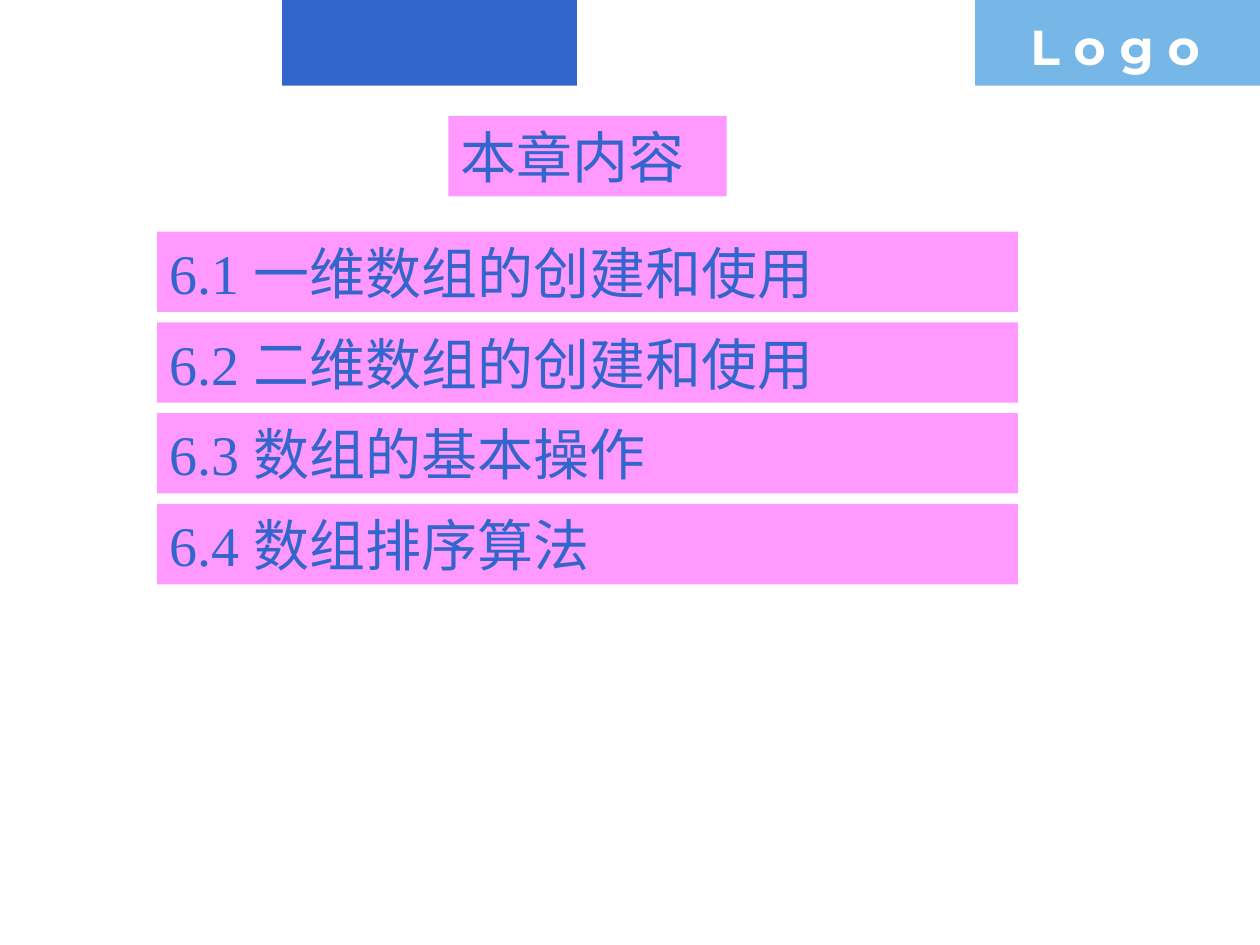
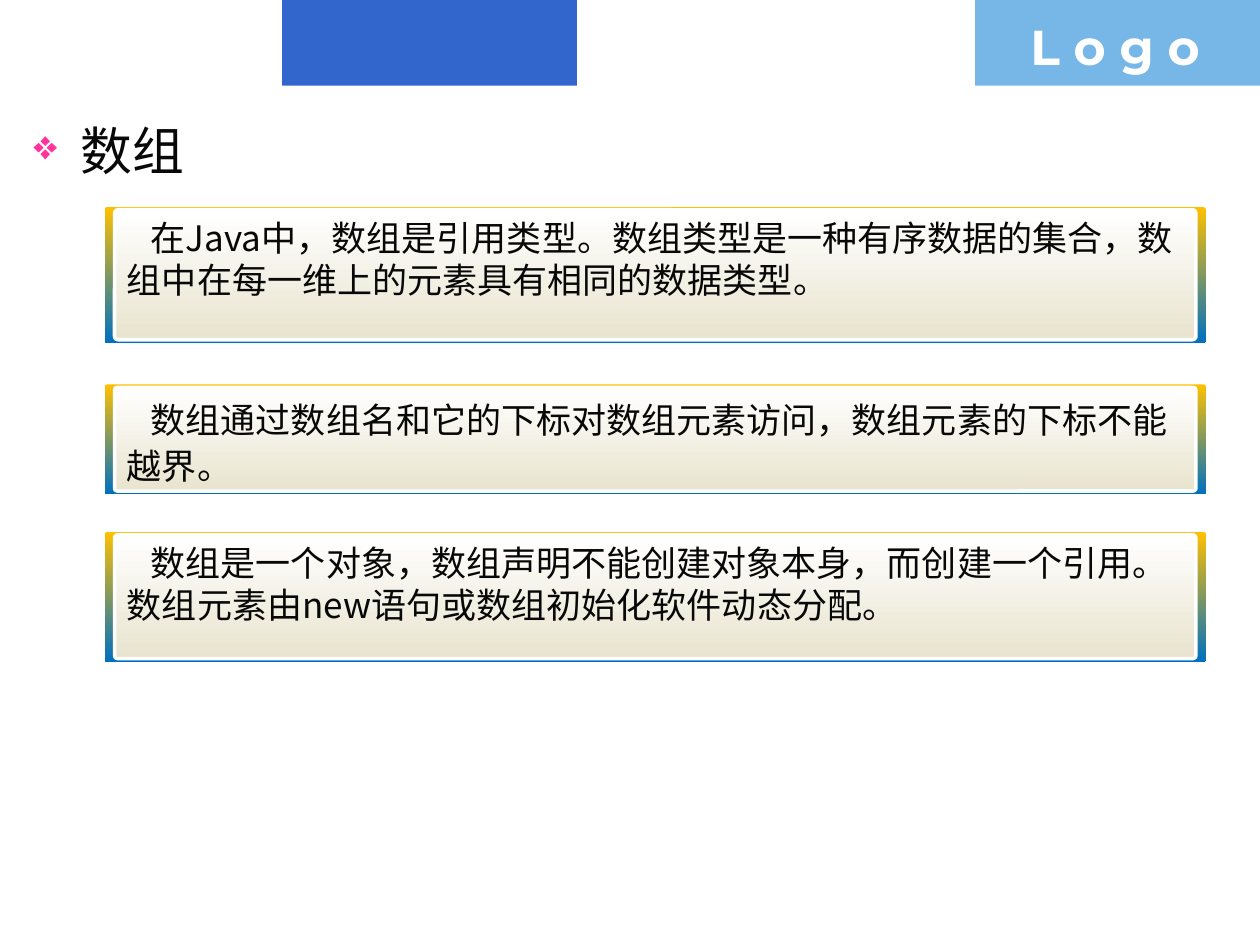
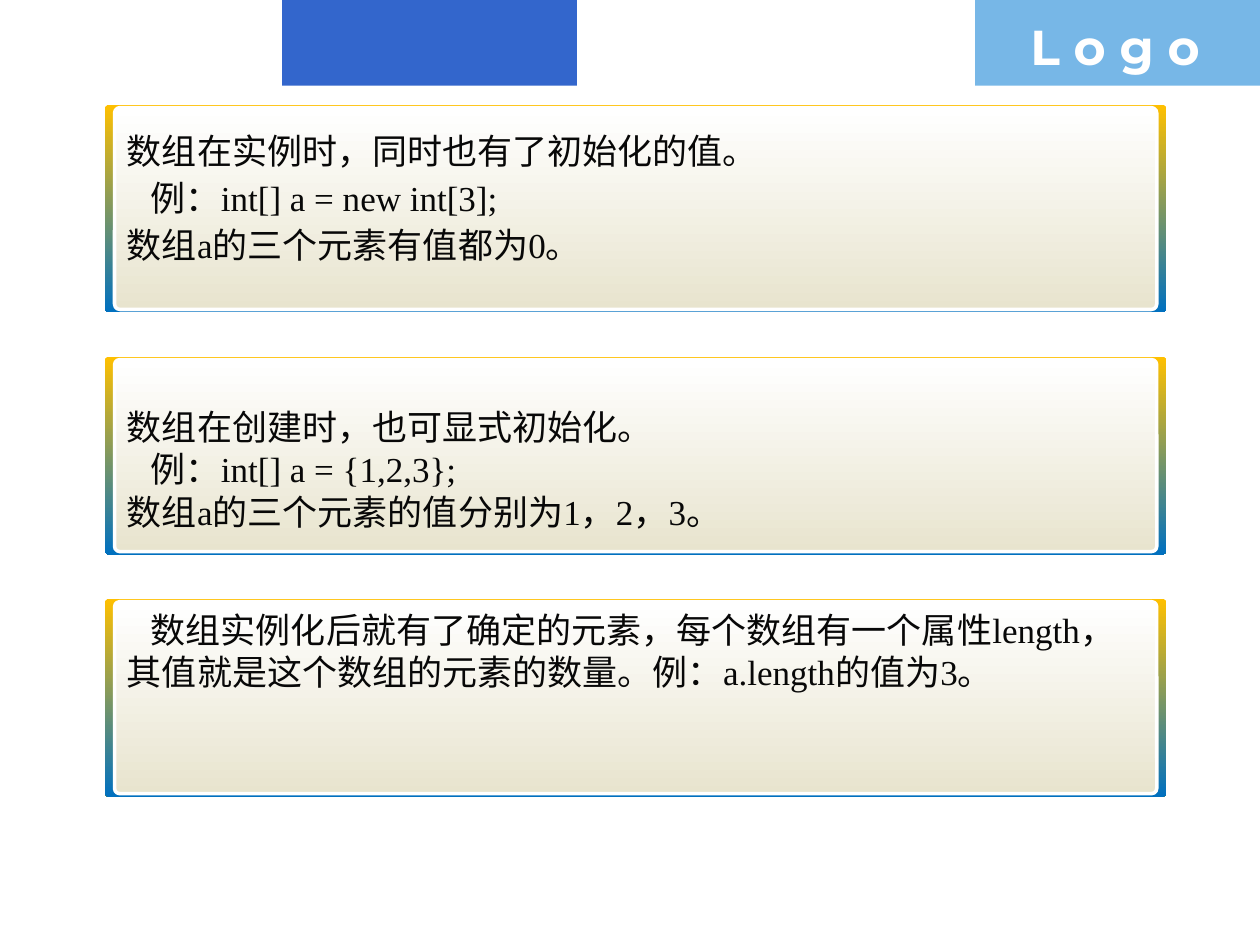
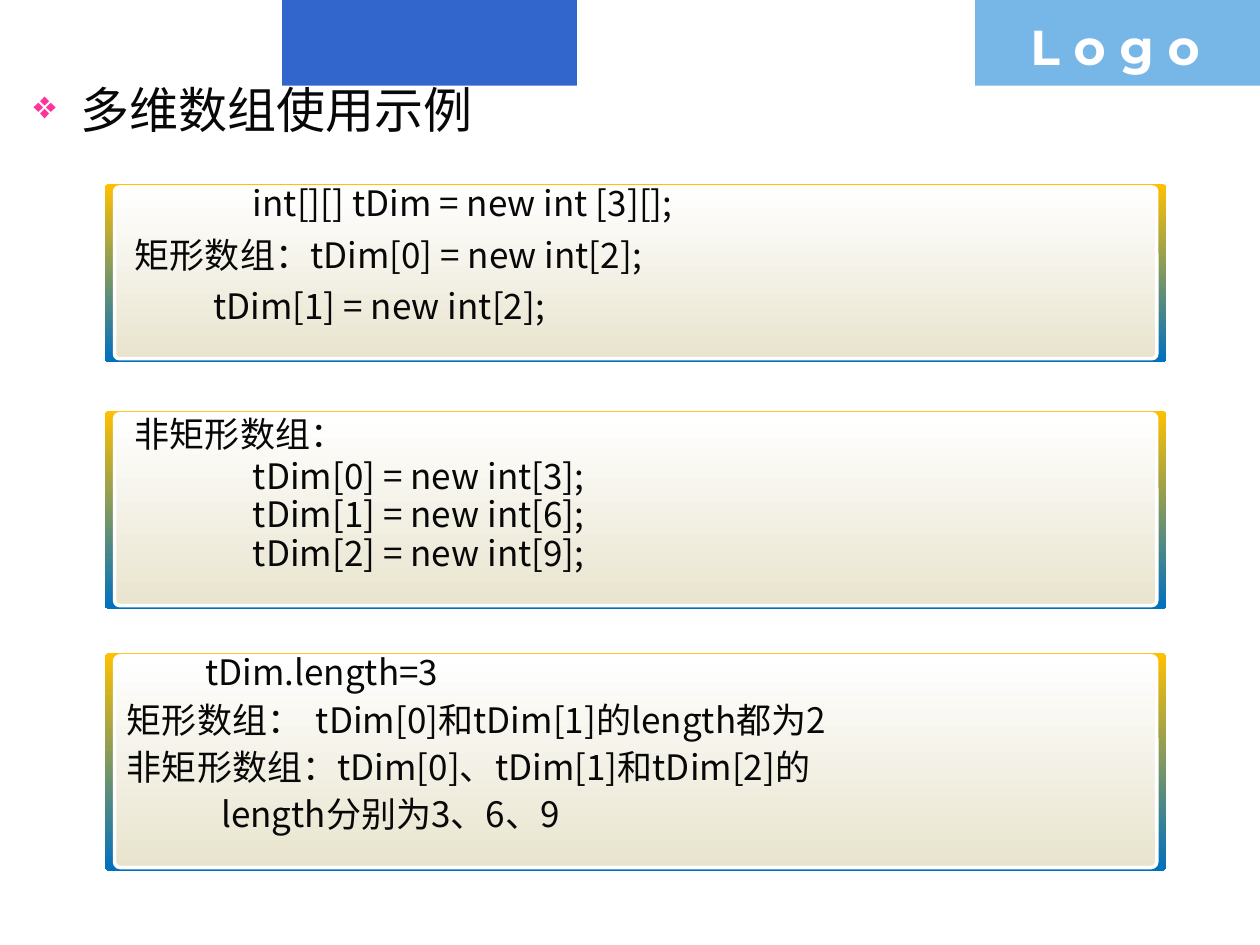
from dataclasses import dataclass

from lxml import etree
from pptx import Presentation
from pptx.dml.color import RGBColor
from pptx.enum.shapes import MSO_SHAPE
from pptx.enum.text import MSO_ANCHOR, MSO_AUTO_SIZE, PP_ALIGN
from pptx.oxml.ns import qn
from pptx.util import Cm, Pt

RECT = MSO_SHAPE.RECTANGLE
ROUND = MSO_SHAPE.ROUNDED_RECTANGLE
TOP, MIDDLE, BOTTOM = MSO_ANCHOR.TOP, MSO_ANCHOR.MIDDLE, MSO_ANCHOR.BOTTOM
GROW = MSO_AUTO_SIZE.SHAPE_TO_FIT_TEXT
LEFT = PP_ALIGN.LEFT


@dataclass(frozen=True)
class Theme:
    blue: str = "3366CC"
    sky: str = "77B7E7"
    pink: str = "FF99FF"
    bullet: str = "FF3399"
    ink: str = "080808"
    white: str = "FFFFFF"
    frame: tuple = ("FFC000", "0070C0")
    panel: tuple = ("FFFFFF", "E8E4CE")
    sans: str = "Noto Sans CJK SC"
    serif: str = "Times New Roman"
    logo: str = "Montserrat"
    logo_size: float = 28
    agenda_size: float = 32
    body_size: float = 20
    gap: float = 12.5


T = Theme()

AGENDA_TITLE = "本章内容"
AGENDA = [
    "6.1 一维数组的创建和使用",
    "6.2 二维数组的创建和使用",
    "6.3 数组的基本操作",
    "6.4 数组排序算法",
]

FIRST_LINE = 0.48
CODE = 2.54

CARD_SLIDES = [
    {
        "heading": ("数组", 2.26, 29.6), "font": T.sans, "width": 22.2,
        "cards": [
            {"top": 4.17, "height": 2.74, "text_h": 1.96, "lines": [
                ("在Java中，数组是引用类型。数组类型是一种有序数据的集合，"
                 "数组中在每一维上的元素具有相同的数据类型。", 1, FIRST_LINE)]},
            {"top": 7.75, "height": 2.21, "text_h": 2.13, "lines": [
                ("数组通过数组名和它的下标对数组元素访问，"
                 "数组元素的下标不能越界。", 1.1, FIRST_LINE)]},
            {"top": 10.72, "height": 2.62, "text_h": 1.96, "lines": [
                ("数组是一个对象，数组声明不能创建对象本身，而创建一个引用。"
                 "数组元素由new语句或数组初始化软件动态分配。", 1, FIRST_LINE)]},
        ],
    },
    {
        "heading": None, "font": T.serif, "width": 21.41,
        "cards": [
            {"top": 2.11, "height": 4.19, "text_h": 3.28, "inset": 0.74, "lines": [
                ("数组在实例时，同时也有了初始化的值。", 0.6, 0),
                ("例：int[] a = new int[3];", 0.6, FIRST_LINE),
                ("数组a的三个元素有值都为0。", 0.6, 0)]},
            {"top": 7.19, "height": 3.99, "text_h": 3.33, "inset": 1.04,
             "shift": 0.24, "anchor": MIDDLE, "lines": [
                 ("数组在创建时，也可显式初始化。", 0.5, 0),
                 ("例：int[] a = {1,2,3};", 0.5, FIRST_LINE),
                 ("数组a的三个元素的值分别为1，2，3。", 0.5, 0)]},
            {"top": 12.07, "height": 3.99, "text_h": 1.96, "lines": [
                ("数组实例化后就有了确定的元素，每个数组有一个属性length，"
                 "其值就是这个数组的元素的数量。例：a.length的值为3。", 1, FIRST_LINE)]},
        ],
    },
    {
        "heading": ("多维数组使用示例", 1.47, 28), "font": T.sans, "width": 21.41,
        "cards": [
            {"top": 3.71, "height": 3.58, "text_h": 2.92, "lines": [
                ("int[][] tDim = new int [3][];", 0.7, CODE),
                ("矩形数组：tDim[0] = new int[2];", 0.7, 0.16),
                ("tDim[1] = new int[2];", 0.7, 1.74)]},
            {"top": 8.28, "height": 3.99, "text_h": 3.28, "lines": [
                ("非矩形数组：", 0.8, 0.16),
                ("tDim[0] = new int[3];", 0.4, CODE),
                ("tDim[1] = new int[6];", 0.4, CODE),
                ("tDim[2] = new int[9];", 0.4, CODE)]},
            {"top": 13.16, "height": 4.39, "text_h": 3.71, "lines": [
                ("tDim.length=3", 0.7, 1.58),
                ("矩形数组：\ttDim[0]和tDim[1]的length都为2", 0.6, 0),
                ("非矩形数组：tDim[0]、tDim[1]和tDim[2]的", 0.6, 0),
                ("length分别为3、6、9", 0.6, 1.9)]},
        ],
    },
]

CARD_LEFT = 2.11
RIM_X, RIM_Y = 0.2, 0.06
TAB_STOP = 4


def rgb(color):
    return RGBColor.from_string(color)


def add_box(shapes, kind, box, fill):
    sp = shapes.add_shape(kind, *(Cm(v) for v in box))
    sp.shadow.inherit = False
    sp.line.fill.background()
    if isinstance(fill, str):
        sp.fill.solid()
        sp.fill.fore_color.rgb = rgb(fill)
    else:
        sp.fill.gradient()
        sp.fill.gradient_angle = 270
        for stop, color in zip(sp.fill.gradient_stops, fill):
            stop.color.rgb = rgb(color)
    return sp


def add_text(shapes, box):
    return shapes.add_textbox(*(Cm(v) for v in box))


def setup_frame(sp, anchor=TOP, inset=0.13, auto_size=GROW):
    tf = sp.text_frame
    tf.word_wrap = True
    tf.auto_size = auto_size
    tf.vertical_anchor = anchor
    tf.margin_left = tf.margin_right = Cm(0.25)
    tf.margin_top, tf.margin_bottom = Cm(inset), Cm(0.13)
    return tf


def add_run(p, text, font, size, color, bold=False):
    p.alignment = LEFT
    r = p.add_run()
    r.text = text
    r.font.name = font
    r.font.size = Pt(size)
    r.font.bold = bold
    r.font.color.rgb = rgb(color)
    ea = etree.SubElement(r._r.get_or_add_rPr(), qn("a:ea"))
    ea.set("typeface", T.sans)


def add_bullet(p):
    pPr = p._p.get_or_add_pPr()
    pPr.set("marL", str(Cm(0.95)))
    pPr.set("indent", str(-Cm(0.95)))
    clr = etree.SubElement(pPr, qn("a:buClr"))
    etree.SubElement(clr, qn("a:srgbClr")).set("val", T.bullet)
    etree.SubElement(pPr, qn("a:buSzPct")).set("val", "80000")
    etree.SubElement(pPr, qn("a:buChar")).set("char", "❖")


def add_tab_stop(p):
    tabs = etree.SubElement(p._p.get_or_add_pPr(), qn("a:tabLst"))
    tab = etree.SubElement(tabs, qn("a:tab"))
    tab.set("pos", str(Cm(TAB_STOP)))
    tab.set("algn", "l")


def add_slide(prs):
    s = prs.slides.add_slide(prs.slide_layouts[6])
    add_box(s.shapes, RECT, (5.69, 0, 5.94, 1.73), T.blue)
    add_box(s.shapes, RECT, (19.66, 0, 5.74, 1.73), T.sky)
    tf = setup_frame(add_text(s.shapes, (20.52, 0.2, 4.9, 1.45)))
    add_run(tf.paragraphs[0], "L o g o", T.logo, T.logo_size, T.white, True)
    return s


def add_label(s, text, box):
    sp = add_box(s.shapes, RECT, box, T.pink)
    tf = setup_frame(sp, BOTTOM)
    add_run(tf.paragraphs[0], text, T.serif, T.agenda_size, T.blue)


def add_heading(s, text, top, size):
    tf = setup_frame(add_text(s.shapes, (0.43, top, 24.13, 1.52)),
                     auto_size=MSO_AUTO_SIZE.NONE)
    p = tf.paragraphs[0]
    add_bullet(p)
    add_run(p, text, T.sans, size, T.ink)


def add_card(s, card, width, font):
    shapes = s.shapes.add_group_shape().shapes
    top, height = card["top"], card["height"]
    left, inner_top, inner_w = CARD_LEFT + RIM_X, top + RIM_Y, width - 2 * RIM_X
    sp = add_box(shapes, ROUND, (CARD_LEFT, top, width, height), T.frame)
    sp.adjustments[0] = 0.024
    sp = add_box(shapes, ROUND, (left, inner_top, inner_w, height - 2 * RIM_Y), T.panel)
    sp.adjustments[0] = 0.027
    sp.line.color.rgb = rgb(T.white)
    sp.line.width = Pt(2)

    text_top = inner_top + card.get("shift", 0)
    sp = add_text(shapes, (left, text_top, inner_w, card["text_h"]))
    tf = setup_frame(sp, card.get("anchor", TOP), card.get("inset", 0.13))
    for i, (text, spacing, indent) in enumerate(card["lines"]):
        p = tf.add_paragraph() if i else tf.paragraphs[0]
        if "\t" in text:
            add_tab_stop(p)
        p._p.get_or_add_pPr().set("indent", str(Cm(indent)))
        p.line_spacing = float(spacing)
        if i:
            p.space_before = Pt(T.gap)
        add_run(p, text, font, T.body_size, T.ink)


def main():
    prs = Presentation()
    prs.slide_width, prs.slide_height = Cm(25.4), Cm(19.05)

    s = add_slide(prs)
    add_label(s, AGENDA_TITLE, (9.04, 2.34, 5.61, 1.62))
    for i, text in enumerate(AGENDA):
        add_label(s, text, (3.17, 4.67 + 1.83 * i, 17.35, 1.62))

    for data in CARD_SLIDES:
        s = add_slide(prs)
        for card in data["cards"]:
            add_card(s, card, data["width"], data["font"])
        if data["heading"]:
            add_heading(s, *data["heading"])

    prs.save("out.pptx")


if __name__ == "__main__":
    main()
